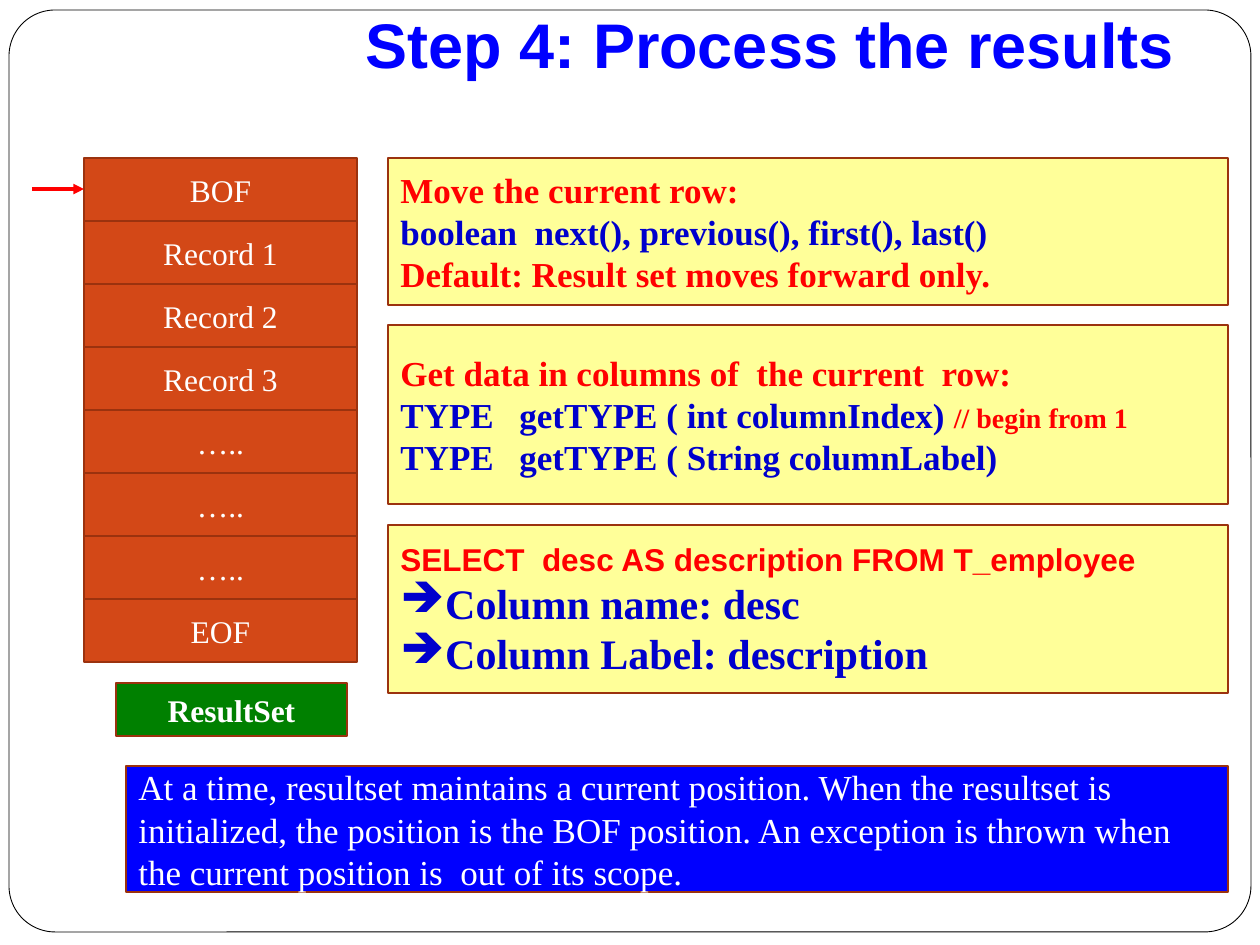
from dataclasses import dataclass

from lxml import etree
from pptx import Presentation
from pptx import util as u
from pptx.dml.color import RGBColor
from pptx.enum import shapes, text
from pptx.oxml.ns import qn

EMU_PER_PX = 914400 / 126
LEFT, CENTER, RIGHT = text.PP_ALIGN.LEFT, text.PP_ALIGN.CENTER, text.PP_ALIGN.RIGHT


@dataclass(frozen=True)
class Theme:
    sans: str = "Arial"
    serif: str = "Times New Roman"
    white: str = "FFFFFF"
    black: str = "000000"
    title: str = "0000FF"
    record: str = "D34817"
    border: str = "9B320E"
    caption: str = "008000"
    panel: str = "FFFF99"
    note: str = "0000FF"
    accent: str = "FF0000"
    code: str = "0000CC"
    title_size: int = 36
    large_size: int = 24
    body_size: int = 20
    label_size: int = 18
    comment_size: int = 16


THEME = Theme()


def px(value):
    return u.Emu(round(value * EMU_PER_PX))


def rgb(value):
    return RGBColor.from_string(value)


def add_box(slide, left, top, width, height, fill, line=THEME.border, line_width=1,
            kind=shapes.MSO_SHAPE.RECTANGLE):
    box = slide.shapes.add_shape(kind, px(left), px(top), px(width), px(height))
    box.shadow.inherit = False
    box.fill.solid()
    box.fill.fore_color.rgb = rgb(fill)
    box.line.color.rgb = rgb(line)
    box.line.width = u.Pt(line_width)
    box.text_frame.word_wrap = True
    box.text_frame.vertical_anchor = text.MSO_ANCHOR.MIDDLE
    return box


def next_paragraph(frame):
    """Return the empty first paragraph, or a new one once it has text."""
    first = frame.paragraphs[0]
    return frame.add_paragraph() if first.runs else first


def add_bullet(paragraph, color):
    properties = paragraph._p.get_or_add_pPr()
    bullet_color = etree.SubElement(properties, qn("a:buClr"))
    etree.SubElement(bullet_color, qn("a:srgbClr"), val=color)
    etree.SubElement(properties, qn("a:buChar"), char="➔")


def add_tab_stop(paragraph, position):
    tabs = etree.SubElement(paragraph._p.get_or_add_pPr(), qn("a:tabLst"))
    etree.SubElement(tabs, qn("a:tab"), pos=str(px(position)), algn="l")


def write(paragraph, content, color=THEME.white, size=THEME.body_size, bold=False,
          font=THEME.serif, align=LEFT, bullet=False, tab_stop=None):
    paragraph.alignment = align
    if bullet:
        add_bullet(paragraph, color)
    if tab_stop:
        add_tab_stop(paragraph, tab_stop)
    run = paragraph.add_run()
    run.text = content
    run.font.name = font
    run.font.size = u.Pt(size)
    run.font.bold = bold
    run.font.color.rgb = rgb(color)


def add_frame(slide):
    frame = add_box(slide, 9, 10, 1242, 922, THEME.white, THEME.black, 0.5,
                    shapes.MSO_SHAPE.ROUNDED_RECTANGLE)
    frame.adjustments[0] = 0.05


def add_title(slide, content):
    box = slide.shapes.add_textbox(px(126), px(0), px(1061), px(94))
    frame = box.text_frame
    frame.word_wrap = True
    frame.vertical_anchor = text.MSO_ANCHOR.BOTTOM
    frame.margin_bottom = u.Inches(0.1)
    write(frame.paragraphs[0], content, color=THEME.title, size=THEME.title_size,
          bold=True, font=THEME.sans, align=RIGHT)


def add_label(slide, content, left, top, width, height, fill, bold=False):
    box = add_box(slide, left, top, width, height, fill)
    write(box.text_frame.paragraphs[0], content, size=THEME.label_size, bold=bold,
          align=CENTER)


def add_records(slide, names):
    left, top, width, height = 84, 158, 273, 63
    for row, name in enumerate(names):
        add_label(slide, name, left, top + row * height, width, height, THEME.record)


def add_pointer(slide, start, end, y):
    pointer = slide.shapes.add_connector(shapes.MSO_CONNECTOR.STRAIGHT,
                                         px(start), px(y), px(end), px(y))
    pointer.line.color.rgb = rgb(THEME.accent)
    pointer.line.width = u.Pt(2)
    etree.SubElement(pointer.line._get_or_add_ln(), qn("a:tailEnd"), type="triangle")
    etree.SubElement(pointer._element.spPr, qn("a:effectLst"))


def add_panel(slide, top, height, lines):
    """Add a yellow panel; each line is a list of (text, format) runs."""
    frame = add_box(slide, 388, top, 840, height, THEME.panel).text_frame
    for line in lines:
        paragraph = next_paragraph(frame)
        for content, style in line:
            write(paragraph, content, bold=True, **style)


def add_note(slide, content):
    box = add_box(slide, 126, 766, 1102, 126, THEME.note)
    write(box.text_frame.paragraphs[0], content)


def main():
    presentation = Presentation()
    presentation.slide_width, presentation.slide_height = u.Inches(10), u.Inches(7.5)
    slide = presentation.slides.add_slide(presentation.slide_layouts[6])

    add_frame(slide)
    add_title(slide, "Step 4: Process the results")
    add_label(slide, "ResultSet", 116, 683, 231, 53, THEME.caption, bold=True)
    add_records(slide, ["BOF", "Record 1", "Record 2", "Record 3",
                        "…..", "…..", "…..", "EOF"])
    add_pointer(slide, 32, 84, 189)

    heading = {"color": THEME.accent}
    code = {"color": THEME.code}
    signature = {**code, "tab_stop": 119}
    comment = {**heading, "size": THEME.comment_size}
    query = {**heading, "size": THEME.label_size, "font": THEME.sans}
    bullet = {**code, "size": THEME.large_size, "bullet": True}
    add_panel(slide, 158, 147, [
        [("Move the current row:", heading)],
        [("boolean  next(), previous(), first(), last()", code)],
        [("Default: Result set moves forward only.", heading)],
    ])
    add_panel(slide, 325, 179, [
        [("Get data in columns of  the current  row:", heading)],
        [("TYPE\tgetTYPE ( int columnIndex) ", signature), ("// begin from 1", comment)],
        [("TYPE\tgetTYPE ( String columnLabel)", signature)],
    ])
    add_panel(slide, 525, 168, [
        [("SELECT  desc AS description FROM T_employee", query)],
        [("Column name: desc", bullet)],
        [("Column Label: description", bullet)],
    ])
    add_note(slide, "At a time, resultset maintains a current position. When the "
                    "resultset is initialized, the position is the BOF position. An "
                    "exception is thrown when the current position is  out of its scope.")
    presentation.save("out.pptx")


if __name__ == "__main__":
    main()
